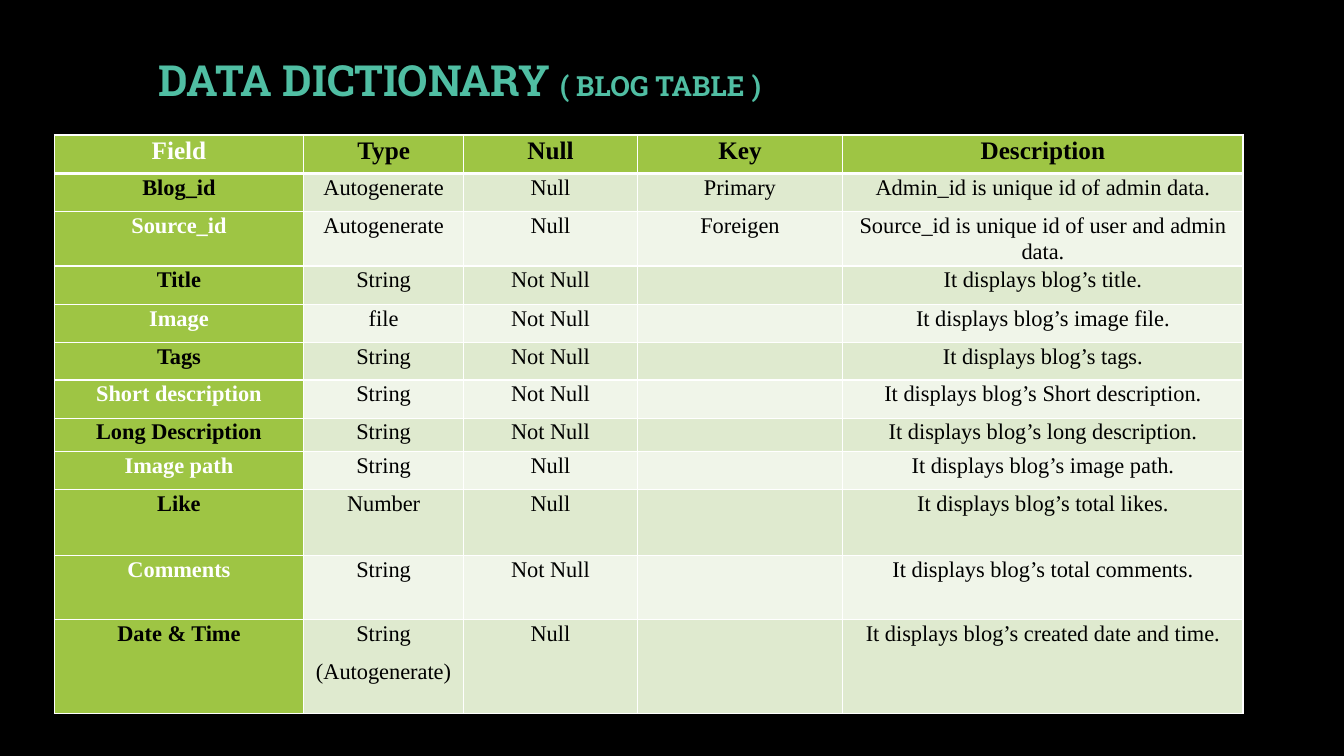
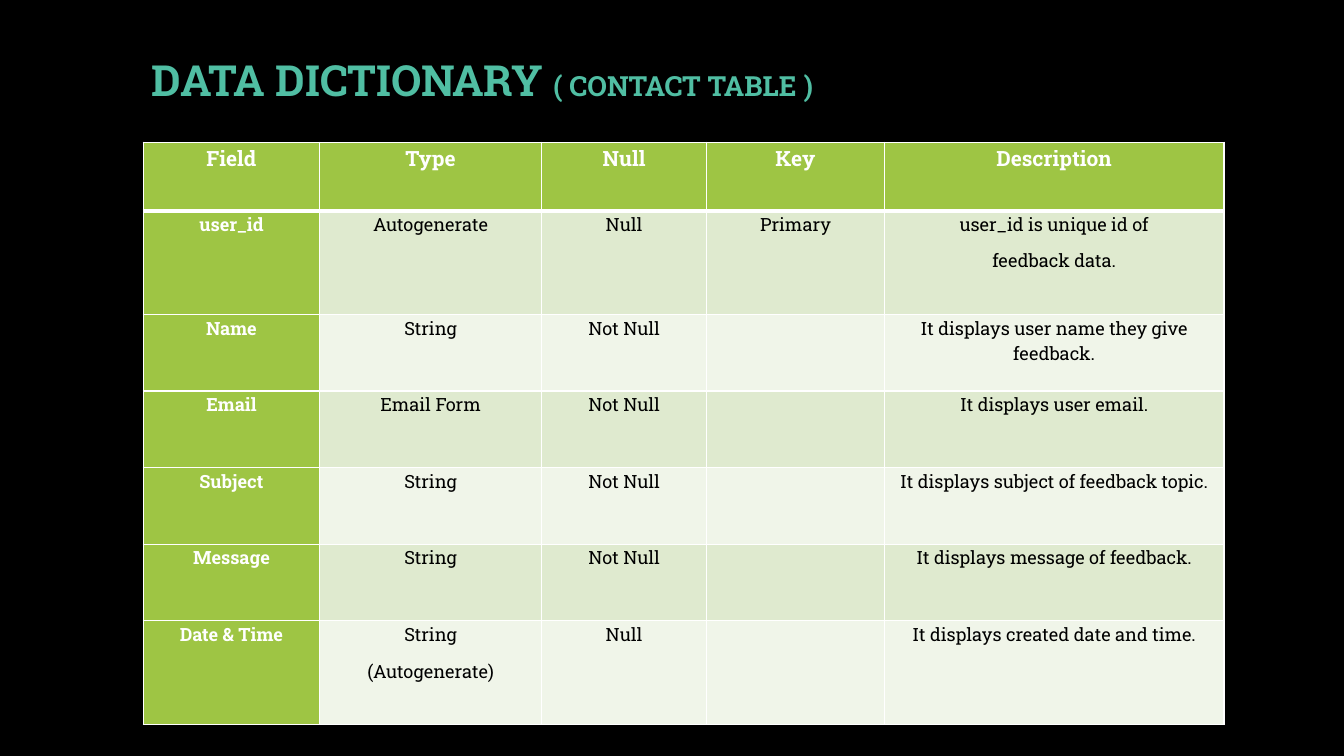
from dataclasses import dataclass

from lxml.etree import SubElement
from pptx import Presentation
from pptx.dml.color import RGBColor
from pptx.enum.text import MSO_ANCHOR, PP_ALIGN
from pptx.oxml.ns import qn
from pptx.presentation import Presentation as PresentationDocument
from pptx.slide import Slide
from pptx.table import _Cell as Cell
from pptx.util import Inches, Pt

BLACK = RGBColor(0x00, 0x00, 0x00)
WHITE = RGBColor(0xFF, 0xFF, 0xFF)
TEAL = RGBColor(0x50, 0xBE, 0xA3)
GREEN = RGBColor(0x9E, 0xC5, 0x44)
BAND_COLORS = (RGBColor(0xDF, 0xEA, 0xCF), RGBColor(0xF0, 0xF5, 0xE9))

TITLE_FONT = "Roboto Slab"
TITLE_ONLY_LAYOUT = 5
HEADERS = ("Field", "Type", "Null", "Key", "Description")
THIN_LINE = 1
HEADER_LINE = 3


@dataclass(frozen=True)
class DictionaryTable:
    subtitle: str
    title_width: float
    left: float
    top: float
    column_widths: tuple[float, ...]
    row_heights: tuple[float, ...]
    side_margin: float
    font_name: str
    header_size: int
    body_size: int
    header_color: RGBColor
    label_colors: tuple[RGBColor, RGBColor]
    fields: tuple[tuple[str, ...], ...]


BLOG_TABLE = DictionaryTable(
    subtitle="( BLOG TABLE )",
    title_width=7.1,
    left=0.54,
    top=1.34,
    column_widths=(2.47, 1.59, 1.72, 2.04, 3.97),
    row_heights=(0.38, 0.38, 0.54, 0.38, 0.38, 0.37, 0.38, 0.33, 0.38, 0.65, 0.64, 0.93),
    side_margin=0.07,
    font_name="Times New Roman",
    header_size=18,
    body_size=16,
    header_color=BLACK,
    label_colors=(BLACK, WHITE),
    fields=(
        ("Blog_id", "Autogenerate", "Null", "Primary", "Admin_id is unique id of admin data."),
        ("Source_id", "Autogenerate", "Null", "Foreigen",
         "Source_id is unique id of user and admin data."),
        ("Title", "String", "Not Null", "", "It displays blog’s title."),
        ("Image", "file", "Not Null", "", "It displays blog’s image file."),
        ("Tags", "String", "Not Null", "", "It displays blog’s tags."),
        ("Short description", "String", "Not Null", "", "It displays blog’s Short description."),
        ("Long Description", "String", "Not Null", "", "It displays blog’s long description."),
        ("Image path", "String", "Null", "", "It displays blog’s image path."),
        ("Like", "Number", "Null", "", "It displays blog’s total likes."),
        ("Comments", "String", "Not Null", "", "It displays blog’s total comments."),
        ("Date & Time", "String\n(Autogenerate)", "Null", "",
         "It displays blog’s created date and time."),
    ),
)

CONTACT_TABLE = DictionaryTable(
    subtitle="( CONTACT TABLE )",
    title_width=7.55,
    left=1.42,
    top=1.41,
    column_widths=(1.75, 2.2, 1.64, 1.76, 3.37),
    row_heights=(0.68, 1.03, 0.76, 0.76, 0.76, 0.76, 1.03),
    side_margin=0.06,
    font_name="Roboto Slab",
    header_size=15,
    body_size=13,
    header_color=WHITE,
    label_colors=(WHITE, WHITE),
    fields=(
        ("user_id", "Autogenerate", "Null", "Primary", "user_id is unique id of\nfeedback data."),
        ("Name", "String", "Not Null", "", "It displays user name they give feedback."),
        ("Email", "Email Form", "Not Null", "", "It displays user email."),
        ("Subject", "String", "Not Null", "", "It displays subject of feedback topic."),
        ("Message", "String", "Not Null", "", "It displays message of feedback."),
        ("Date & Time", "String\n(Autogenerate)", "Null", "", "It displays created date and time."),
    ),
)


def add_title(slide: Slide, subtitle: str, width: float) -> None:
    title = slide.shapes.title
    title.left, title.top = Inches(1.01), Inches(0.44)
    title.width, title.height = Inches(width), Inches(0.75)
    title.text_frame.vertical_anchor = MSO_ANCHOR.MIDDLE
    title.text_frame.word_wrap = True
    paragraph = title.text_frame.paragraphs[0]
    paragraph.alignment = PP_ALIGN.CENTER
    paragraph.line_spacing = 0.9
    paragraph.font.name = TITLE_FONT
    paragraph.font.bold = True
    paragraph.font.color.rgb = TEAL
    for text, size in (("DATA DICTIONARY ", 30.6), (subtitle, 19.8)):
        run = paragraph.add_run()
        run.text = text
        run.font.size = Pt(size)


def set_borders(cell: Cell, top: int, bottom: int) -> None:
    properties = cell._tc.get_or_add_tcPr()
    widths = {"a:lnL": THIN_LINE, "a:lnR": THIN_LINE, "a:lnT": top, "a:lnB": bottom}
    for position, (tag, width) in enumerate(widths.items()):
        line = SubElement(properties, qn(tag), w=str(Pt(width)))
        fill = SubElement(line, qn("a:solidFill"))
        SubElement(fill, qn("a:srgbClr"), val=str(WHITE))
        properties.insert(position, line)


def fill_cell(cell: Cell, text: str, row: int, column: int, content: DictionaryTable) -> None:
    is_header = row == 0
    is_label = column == 0
    band = (row - 1) % 2
    if is_header:
        color = WHITE if is_label else content.header_color
    else:
        color = content.label_colors[band] if is_label else BLACK

    cell.margin_left = cell.margin_right = Inches(content.side_margin)
    cell.margin_top = cell.margin_bottom = Inches(0)
    cell.fill.solid()
    cell.fill.fore_color.rgb = GREEN if is_header or is_label else BAND_COLORS[band]
    set_borders(
        cell,
        top=HEADER_LINE if row == 1 else THIN_LINE,
        bottom=HEADER_LINE if is_header else THIN_LINE,
    )
    cell.text_frame.text = text
    for paragraph in cell.text_frame.paragraphs:
        paragraph.alignment = PP_ALIGN.CENTER
        paragraph.line_spacing = 1.07
        paragraph.space_after = Pt(8)
        paragraph.font.name = content.font_name
        paragraph.font.size = Pt(content.header_size if is_header else content.body_size)
        paragraph.font.bold = is_header or is_label
        paragraph.font.color.rgb = color


def add_dictionary_table(slide: Slide, content: DictionaryTable) -> None:
    rows = (HEADERS, *content.fields)
    table = slide.shapes.add_table(
        len(rows), len(HEADERS), Inches(content.left), Inches(content.top),
        Inches(sum(content.column_widths)), Inches(sum(content.row_heights)),
    ).table
    table.first_col = True
    for column, width in zip(table.columns, content.column_widths):
        column.width = Inches(width)
    for row, height in zip(table.rows, content.row_heights):
        row.height = Inches(height)
    for row_index, texts in enumerate(rows):
        for column_index, text in enumerate(texts):
            cell = table.cell(row_index, column_index)
            fill_cell(cell, text, row_index, column_index, content)


def add_dictionary_slide(presentation: PresentationDocument, content: DictionaryTable) -> None:
    slide = presentation.slides.add_slide(presentation.slide_layouts[TITLE_ONLY_LAYOUT])
    add_title(slide, content.subtitle, content.title_width)
    add_dictionary_table(slide, content)


def main() -> None:
    presentation = Presentation()
    presentation.slide_width = Inches(13.33)
    presentation.slide_height = Inches(7.5)
    background = presentation.slide_master.background.fill
    background.solid()
    background.fore_color.rgb = BLACK
    for content in (BLOG_TABLE, CONTACT_TABLE):
        add_dictionary_slide(presentation, content)
    presentation.save("out.pptx")


if __name__ == "__main__":
    main()
